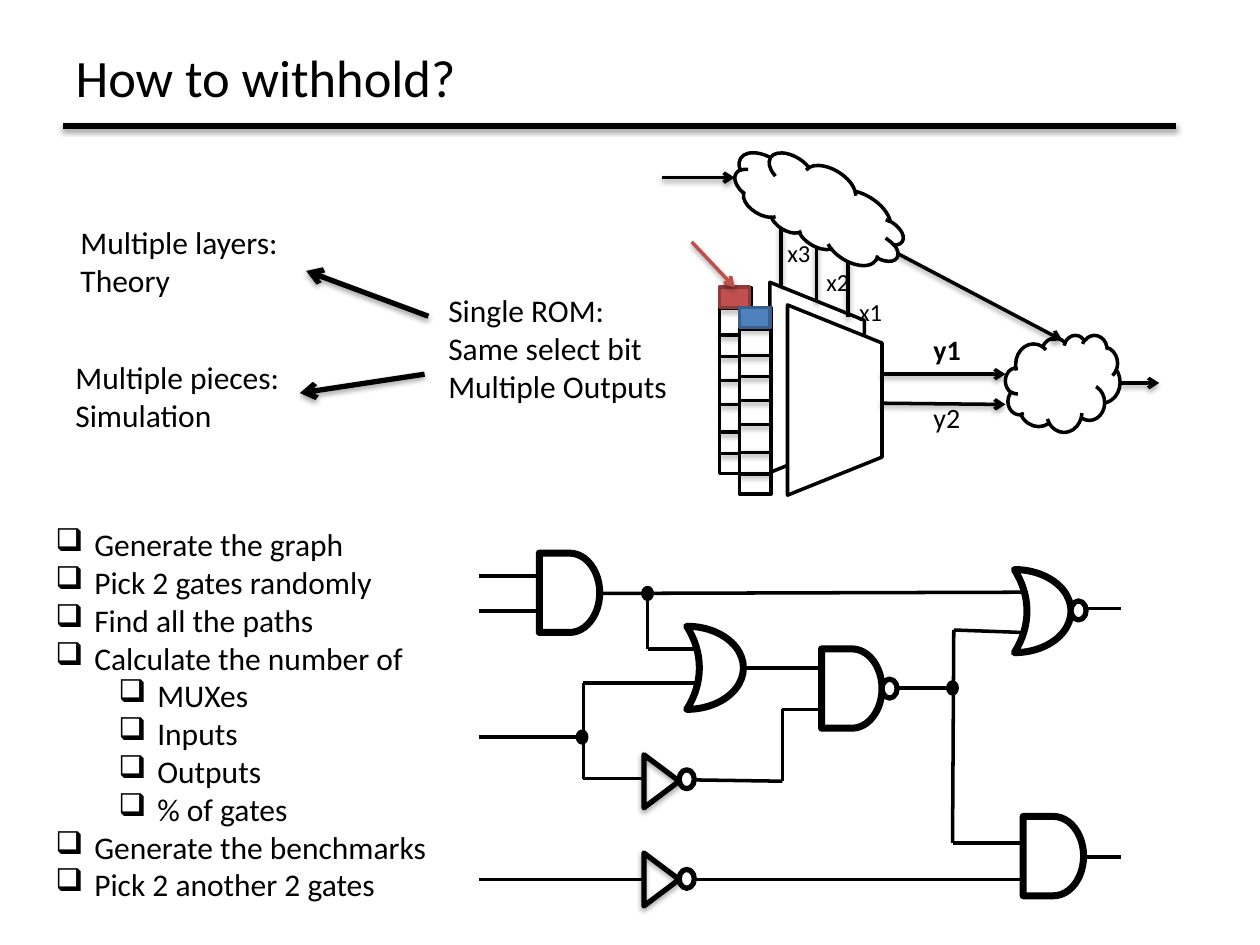
from dataclasses import dataclass

from lxml import etree
from pptx import Presentation
from pptx.dml.color import RGBColor
from pptx.enum.shapes import MSO_CONNECTOR, MSO_SHAPE
from pptx.enum.text import MSO_ANCHOR, MSO_AUTO_SIZE, PP_ALIGN
from pptx.oxml.ns import qn
from pptx.util import Inches, Pt

STRAIGHT = MSO_CONNECTOR.STRAIGHT
AND_BODY = MSO_SHAPE.FLOWCHART_DELAY
OR_BODY = MSO_SHAPE.MOON
TRIANGLE = MSO_SHAPE.ISOSCELES_TRIANGLE
OVAL = MSO_SHAPE.OVAL
MUX = MSO_SHAPE.FLOWCHART_MANUAL_OPERATION
CLOUD = MSO_SHAPE.CLOUD
RECTANGLE = MSO_SHAPE.RECTANGLE


@dataclass(frozen=True)
class Theme:
    font: str = "Calibri"
    black: str = "000000"
    white: str = "FFFFFF"
    red: str = "C0504D"
    dark_red: str = "8E3B39"
    blue: str = "4F81BD"
    dark_blue: str = "3A5F8C"
    title: int = 30
    body: int = 18
    output: int = 16
    select: int = 14
    thin: int = 2
    medium: int = 3
    thick: int = 4


THEME = Theme()


def set_shadow(shape, visible):
    """Give a shape or connector a soft shadow below it, or none at all."""
    effects = etree.SubElement(shape._element.spPr, qn("a:effectLst"))
    if visible:
        shadow = etree.SubElement(effects, qn("a:outerShdw"), blurRad="40000",
                                  dist="20000", dir="5400000", rotWithShape="0")
        color = etree.SubElement(shadow, qn("a:srgbClr"), val=THEME.black)
        etree.SubElement(color, qn("a:alpha"), val="37000")


def add_line(slide, start, end, width=THEME.thin, color=THEME.black, arrow=False, shadow=False):
    points = [Inches(value) for value in (*start, *end)]
    connector = slide.shapes.add_connector(STRAIGHT, *points)
    connector.line.color.rgb = RGBColor.from_string(color)
    connector.line.width = Pt(width)
    if arrow:
        outline = connector._element.spPr.find(qn("a:ln"))
        etree.SubElement(outline, qn("a:tailEnd"), type="arrow")
    set_shadow(connector, shadow)


def add_shape(slide, kind, box, fill=THEME.white, line=THEME.black, width=THEME.thin,
              rotation=0, shadow=False):
    shape = slide.shapes.add_shape(kind, *[Inches(value) for value in box])
    if fill:
        shape.fill.solid()
        shape.fill.fore_color.rgb = RGBColor.from_string(fill)
    else:
        shape.fill.background()
    shape.line.color.rgb = RGBColor.from_string(line)
    shape.line.width = Pt(width)
    shape.rotation = rotation
    set_shadow(shape, shadow)
    return shape


def format_paragraph(paragraph, size, bold=False):
    font = paragraph.font
    font.name = THEME.font
    font.size = Pt(size)
    font.bold = bold
    font.color.rgb = RGBColor.from_string(THEME.black)
    paragraph.alignment = PP_ALIGN.LEFT


def set_indent(paragraph, left, bullet=None):
    properties = paragraph._p.get_or_add_pPr()
    properties.set("marL", str(Inches(left)))
    if bullet:
        properties.set("indent", str(Inches(-0.31)))
        etree.SubElement(properties, qn("a:buChar"), char=bullet)


def add_text(slide, box, lines, size=THEME.body, indents=None, bullet=None):
    """Add a text box with one paragraph a line and return its paragraphs."""
    frame = slide.shapes.add_textbox(*[Inches(value) for value in box]).text_frame
    frame.word_wrap = False
    frame.auto_size = MSO_AUTO_SIZE.SHAPE_TO_FIT_TEXT
    frame.text = "\n".join(lines)
    for index, paragraph in enumerate(frame.paragraphs):
        if indents:
            set_indent(paragraph, indents[index], bullet)
        format_paragraph(paragraph, size)
    return frame.paragraphs


def add_title(slide):
    title = slide.shapes.title
    title.left, title.top = Inches(0.5), Inches(0.31)
    title.width, title.height = Inches(3.34), Inches(0.61)
    frame = title.text_frame
    frame.text = "How to withhold?"
    frame.word_wrap = False
    frame.auto_size = MSO_AUTO_SIZE.SHAPE_TO_FIT_TEXT
    frame.vertical_anchor = MSO_ANCHOR.TOP
    format_paragraph(frame.paragraphs[0], THEME.title)
    add_line(slide, (0.5, 1), (9.33, 1), THEME.medium, shadow=True)


def add_notes_on_rom(slide):
    add_text(slide, (3.46, 2.26, 1.96, 1.01), ["Single ROM:", "Same select bit", "Multiple Outputs"])
    add_text(slide, (0.54, 1.72, 1.79, 0.71), ["Multiple layers:", "Theory"])
    add_text(slide, (0.5, 2.79, 1.84, 0.71), ["Multiple pieces:", "Simulation"])
    for start, end in (((3.4, 2.51), (2.43, 2.15)), ((3.37, 2.97), (2.38, 3.12))):
        add_line(slide, start, end, THEME.medium, arrow=True, shadow=True)


def add_steps(slide):
    steps = ["Generate the graph", "Pick 2 gates randomly", "Find all the paths",
             "Calculate the number of", "MUXes", "Inputs", "Outputs", "% of gates",
             "Generate the benchmarks", "Pick 2 another 2 gates"]
    indents = [0.31] * 4 + [0.81] * 4 + [0.31] * 2
    paragraphs = add_text(slide, (0.34, 4.12, 3.18, 3.13), steps, indents=indents, bullet="❑")
    for paragraph, indent in zip(paragraphs, indents):
        paragraph.level = int(indent > 0.5)


def add_gates(slide):
    for left, top in ((4.28, 4.39), (6.52, 5.15), (8.12, 6.48)):
        add_shape(slide, AND_BODY, (left, top, 0.48, 0.63), width=THEME.thick)
    for left, top in ((8.05, 4.52), (5.45, 4.97)):
        gate = add_shape(slide, OR_BODY, (left, top, 0.45, 0.66), width=THEME.thick, rotation=180)
        gate.adjustments[0] = 0.777
    for top in (6.06, 6.84):
        add_shape(slide, TRIANGLE, (5.04, top, 0.42, 0.28), None, width=THEME.medium,
                  rotation=90, shadow=True)


def add_wires(slide):
    wires = [
        [(3.8, 4.57), (4.28, 4.57)], [(3.8, 4.85), (4.28, 4.85)],
        [(4.77, 4.71), (8.12, 4.7)], [(5.14, 4.71), (5.14, 5.15), (5.51, 5.15)],
        [(3.8, 5.85), (4.63, 5.85)],
        [(5.54, 5.42), (4.63, 5.42), (4.63, 6.18), (5.11, 6.18)],
        [(5.9, 5.3), (6.52, 5.3)],
        [(5.51, 6.19), (6.21, 6.2), (6.21, 5.63), (6.52, 5.63)],
        [(7.11, 5.46), (7.53, 5.46)],
        [(8.12, 5.02), (7.57, 5), (7.56, 6.69), (8.12, 6.69)],
        [(3.8, 6.98), (5.11, 6.98)], [(5.51, 6.98), (8.12, 6.98)],
        [(8.62, 4.83), (8.9, 4.83)], [(8.6, 6.8), (8.9, 6.8)],
    ]
    for wire in wires:
        for start, end in zip(wire, wire[1:]):
            add_line(slide, start, end)
    for left, top in ((7, 5.39), (8.5, 4.77), (5.39, 6.11), (5.39, 6.9)):
        add_shape(slide, OVAL, (left, top, 0.12, 0.15), width=THEME.medium)
    for left, top in ((4.59, 5.81), (7.53, 5.42), (5.11, 4.67)):
        add_shape(slide, OVAL, (left, top, 0.06, 0.08), THEME.black, width=THEME.medium)


def add_rom(slide, left, top, fill, line):
    """Add a column of memory cells whose first cell is coloured."""
    add_shape(slide, RECTANGLE, (left, top, 0.25, 1.48))
    for offset in (0.17, 0.38, 0.55, 0.74, 0.93, 1.15, 1.32):
        add_line(slide, (left, top + offset), (left + 0.25, top + offset), shadow=True)
    add_shape(slide, RECTANGLE, (left, top, 0.24, 0.16), fill, line)


def add_multiplexers(slide):
    add_shape(slide, MUX, (5.73, 2.62, 1.51, 0.75), rotation=270)
    for x, top, bottom in ((6.2, 1.79, 2.27), (6.48, 1.94, 2.4), (6.73, 2.02, 2.52)):
        add_line(slide, (x, top), (x, bottom), shadow=True)
    add_text(slide, (6.15, 1.84, 0.96, 0.81), ["x3", "x2", "x1"], THEME.select, (0, 0.31, 0.57))
    add_rom(slide, 5.71, 2.28, THEME.red, THEME.dark_red)
    add_shape(slide, CLOUD, (5.77, 1.33, 1.47, 0.62), rotation=212.1)
    add_shape(slide, CLOUD, (7.98, 2.66, 0.91, 0.77))
    add_shape(slide, MUX, (5.87, 2.8, 1.51, 0.75), rotation=270)
    add_rom(slide, 5.87, 2.44, THEME.blue, THEME.dark_blue)
    for start, end in (((5.25, 1.41), (5.83, 1.41)), ((7.12, 2.01), (8.43, 2.7)),
                       ((6.99, 2.97), (7.98, 2.97)), ((6.99, 3.2), (7.98, 3.21)),
                       ((8.89, 3.04), (9.2, 3.04))):
        add_line(slide, start, end, arrow=True, shadow=True)
    add_line(slide, (5.49, 1.92), (5.83, 2.28), color=THEME.red, arrow=True, shadow=True)
    first, second = add_text(slide, (7.31, 2.59, 0.42, 0.91), ["y1", "y2"], THEME.output)
    first.font.bold = True
    second.space_before = Pt(19.5)


def main():
    presentation = Presentation()
    presentation.slide_width, presentation.slide_height = Inches(10), Inches(7.5)
    slide = presentation.slides.add_slide(presentation.slide_layouts.get_by_name("Title Only"))
    add_title(slide)
    add_gates(slide)
    add_wires(slide)
    add_notes_on_rom(slide)
    add_steps(slide)
    add_multiplexers(slide)
    presentation.save("out.pptx")


if __name__ == "__main__":
    main()
